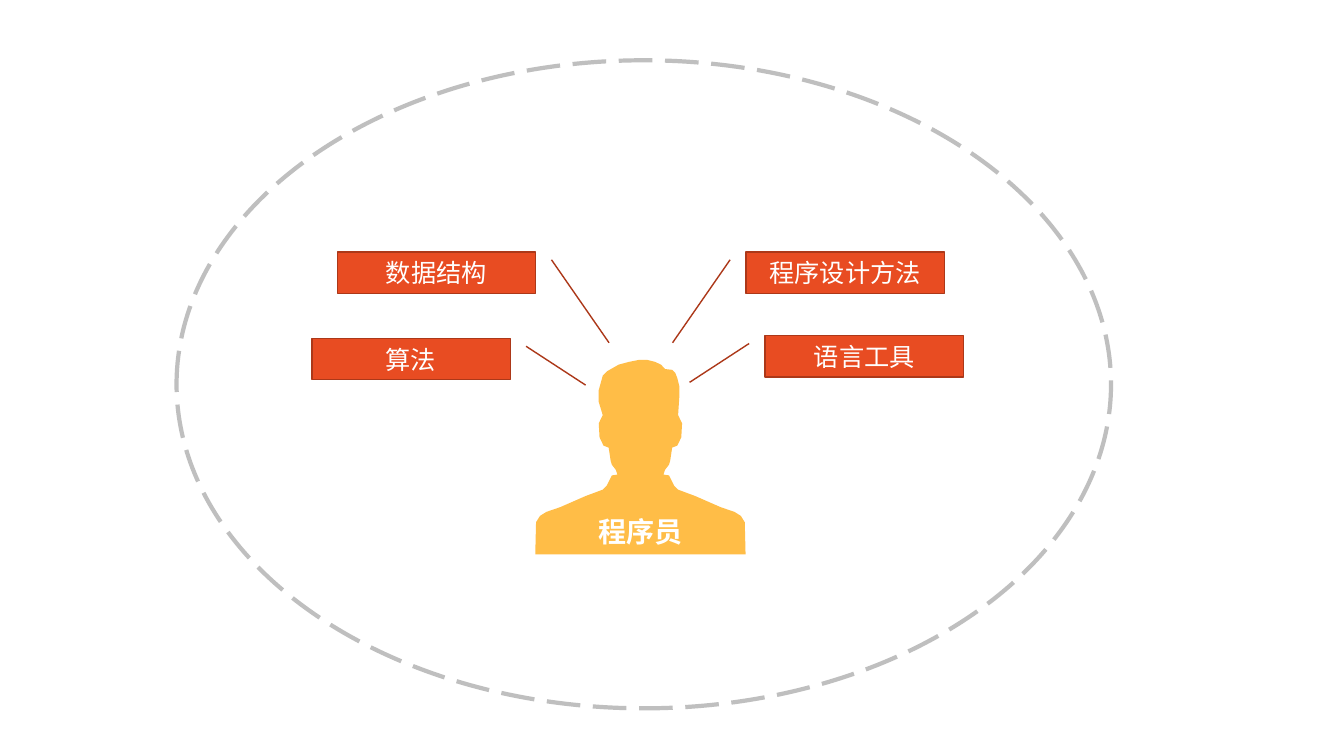
"""Build a slide showing a programmer and the four skills around them."""
from pptx import Presentation
from pptx.dml.color import RGBColor
from pptx.enum.dml import MSO_LINE
from pptx.enum.shapes import MSO_SHAPE as Shape
from pptx.enum.text import MSO_ANCHOR as Anchor, PP_ALIGN as Align
from pptx.oxml.ns import qn
from pptx.util import Cm, Pt
from lxml.etree import SubElement

FONT = "Noto Sans CJK SC"
WHITE, GREY, AMBER = "FFFFFF", "BFBFBF", "FFBD47"
ORANGE, RUST = "E84C22", "AC3819"


def color(value):
    return RGBColor.from_string(value)


def write(box, text, size, bold=False):
    frame = box.text_frame
    frame.word_wrap = True
    frame.text = text
    para = frame.paragraphs[0]
    para.alignment = Align.CENTER
    span = para.runs[0]
    span.font.name = FONT
    span.font.size = Pt(size)
    span.font.bold = bold
    span.font.color.rgb = color(WHITE)
    SubElement(span.font._element, qn("a:ea")).set("typeface", FONT)


deck = Presentation()
deck.slide_width, deck.slide_height = Cm(33.87), Cm(19.05)
slide = deck.slides.add_slide(deck.slide_layouts[6])
shapes = slide.shapes

person_axis = 1614
hair = [
    (-105, 1013), (-105, 983), (-95, 947), (-83, 935), (-55, 919), (-29, 912),
    (-4, 907), (17, 907), (37, 912), (52, 919), (62, 930), (80, 932),
    (88, 940), (93, 953), (98, 973), (98, 1001),
]
ear = [(95, 1046), (105, 1067), (103, 1102), (93, 1123), (80, 1128)]
neck = [(75, 1161), (72, 1171), (62, 1184), (58, 1196)]
collar = [(72, 1198), (85, 1224), (95, 1234)]
shoulder = [(138, 1250), (202, 1278), (237, 1290), (253, 1300), (263, 1316), (265, 1397)]

right_side = ear + neck + collar + shoulder
left_side = [(-offset, y) for offset, y in reversed(right_side)]
outline = [(person_axis + offset, y) for offset, y in hair + right_side + left_side]
builder = shapes.build_freeform(*outline[0], scale=Cm(0.01))
builder.add_line_segments(outline[1:], close=True)
person = builder.convert_to_shape()
person.shadow.inherit = False
person.fill.solid()
person.fill.fore_color.rgb = color(AMBER)
person.line.fill.background()

name_box = shapes.add_textbox(Cm(14.73), Cm(12.85), Cm(2.82), Cm(1.12))
write(name_box, "程序员", 20, bold=True)

callout_width, callout_height = 5, 1.04
short_leader = (0.19, -0.08, 1.13, -0.38)
long_leader = (0.19, -0.08, 2.2, -0.37)
skills = [
    ("算法", 7.86, 8.53, short_leader, True),
    ("数据结构", 8.5, 6.35, long_leader, True),
    ("语言工具", 19.28, 8.46, short_leader, False),
    ("程序设计方法", 18.8, 6.35, long_leader, False),
]
for text, left, top, leader, points_right in skills:
    callout = shapes.add_shape(
        Shape.LINE_CALLOUT_1, Cm(left), Cm(top), Cm(callout_width), Cm(callout_height)
    )
    for index, value in enumerate(leader):
        callout.adjustments[index] = value
    if points_right:
        callout._element.spPr.find(qn("a:xfrm")).set("flipH", "1")
    callout.shadow.inherit = False
    callout.fill.solid()
    callout.fill.fore_color.rgb = color(ORANGE)
    callout.line.color.rgb = color(RUST)
    callout.line.width = Pt(1)
    callout.text_frame.vertical_anchor = Anchor.MIDDLE
    write(callout, text, 18)

boundary = shapes.add_shape(Shape.OVAL, Cm(4.45), Cm(1.52), Cm(23.55), Cm(16.33))
boundary.shadow.inherit = False
boundary.fill.background()
boundary.line.color.rgb = color(GREY)
boundary.line.width = Pt(3)
boundary.line.dash_style = MSO_LINE.LONG_DASH

deck.save("out.pptx")
